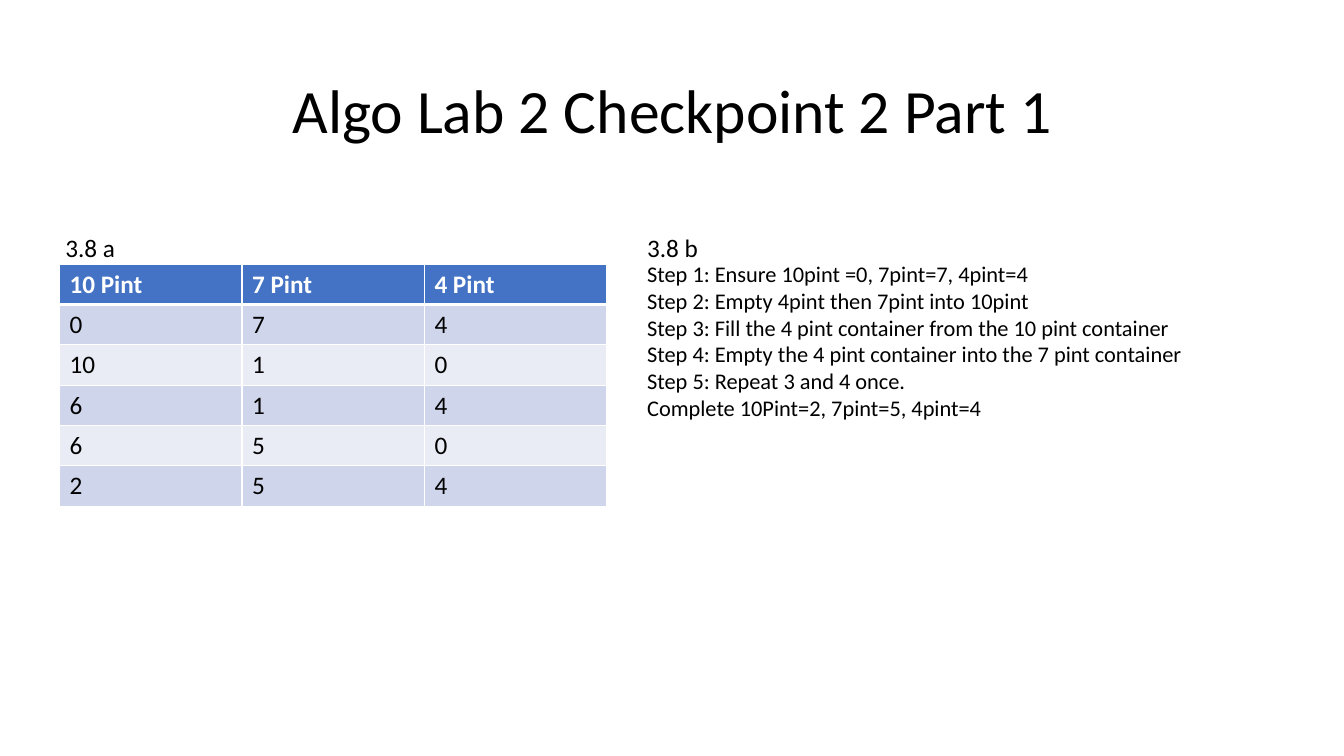
from lxml import etree
from pptx import Presentation
from pptx.dml.color import RGBColor
from pptx.enum import text
from pptx.oxml import ns
from pptx.util import Inches, Pt

BLACK = RGBColor(0x00, 0x00, 0x00)
WHITE = RGBColor(0xFF, 0xFF, 0xFF)
HEADER_BLUE = RGBColor(0x44, 0x72, 0xC4)
BAND_DARK = RGBColor(0xCF, 0xD5, 0xEA)
BAND_LIGHT = RGBColor(0xE9, 0xEB, 0xF5)


def write(frame, content, size=18, color=BLACK, bold=False, align=None, spacing=None):
    """Fill a text frame, one paragraph per line of content."""
    frame.word_wrap = True
    for i, line in enumerate(content.split("\n")):
        paragraph = frame.add_paragraph() if i else frame.paragraphs[0]
        paragraph.alignment = align
        paragraph.line_spacing = spacing
        run = paragraph.add_run()
        run.text = line
        run.font.name = "Calibri"
        run.font.size = Pt(size)
        run.font.bold = bold
        run.font.color.rgb = color


def add_border(cell, side, points):
    """Draw a white line on one side of a cell."""
    line = etree.SubElement(cell._tc.get_or_add_tcPr(), ns.qn(f"a:ln{side}"), w=str(Pt(points)))
    fill = etree.SubElement(line, ns.qn("a:solidFill"))
    etree.SubElement(fill, ns.qn("a:srgbClr"), val=str(WHITE))


deck = Presentation()
deck.slide_width, deck.slide_height = Inches(13.33), Inches(7.5)
slide = deck.slides.add_slide(deck.slide_layouts[6])

# Title
title = slide.shapes.add_textbox(Inches(0.92), Inches(0.4), Inches(11.5), Inches(1.45))
title.text_frame.vertical_anchor = text.MSO_ANCHOR.MIDDLE
write(title.text_frame, "Algo Lab 2 Checkpoint 2 Part 1", size=44,
      align=text.PP_ALIGN.CENTER, spacing=0.9)

# Pint states
states = [
    ("10 Pint", "7 Pint", "4 Pint"),
    (0, 7, 4),
    (10, 1, 0),
    (6, 1, 4),
    (6, 5, 0),
    (2, 5, 4),
]
pints = slide.shapes.add_table(len(states), 3, Inches(0.59), Inches(2.62),
                               Inches(5.43), Inches(2.4)).table
for r, state in enumerate(states):
    header = r == 0
    band = HEADER_BLUE if header else BAND_DARK if r % 2 else BAND_LIGHT
    for c, amount in enumerate(state):
        cell = pints.cell(r, c)
        for side in "LRTB":
            thick = (header and side == "B") or (r == 1 and side == "T")
            add_border(cell, side, 3 if thick else 1)
        cell.fill.solid()
        cell.fill.fore_color.rgb = band
        write(cell.text_frame, str(amount), color=WHITE if header else BLACK, bold=header)

# Part labels and steps
steps = """Step 1: Ensure 10pint =0, 7pint=7, 4pint=4
Step 2: Empty 4pint then 7pint into 10pint
Step 3: Fill the 4 pint container from the 10 pint container
Step 4: Empty the 4 pint container into the 7 pint container
Step 5: Repeat 3 and 4 once.
Complete 10Pint=2, 7pint=5, 4pint=4"""
for left, top, width, height, content, size in [
    (6.32, 2.26, 1.86, 0.4, "3.8 b", 18),
    (6.32, 2.53, 6.28, 1.72, steps, 16),
    (0.55, 2.26, 1.86, 0.4, "3.8 a", 18),
]:
    part = slide.shapes.add_textbox(Inches(left), Inches(top), Inches(width), Inches(height))
    write(part.text_frame, content, size=size)

deck.save("out.pptx")
